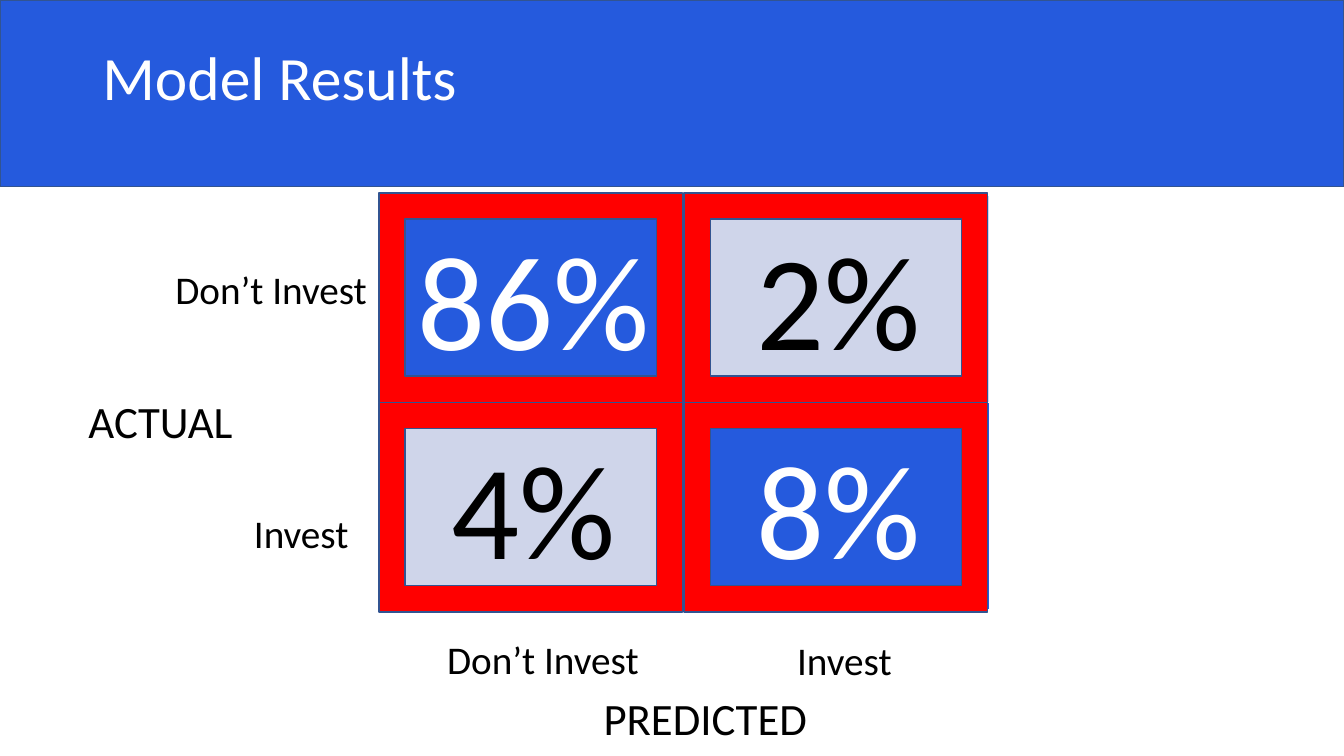
from dataclasses import dataclass

import pptx
import pptx.dml.color
import pptx.enum.shapes
import pptx.enum.text
import pptx.util

Cm = pptx.util.Cm
Pt = pptx.util.Pt
Align = pptx.enum.text.PP_ALIGN
Anchor = pptx.enum.text.MSO_ANCHOR
AutoSize = pptx.enum.text.MSO_AUTO_SIZE
Preset = pptx.enum.shapes.MSO_SHAPE

FONT = "Calibri"
BLUE, PALE, RED, OUTLINE = "255ADD", "CFD5EA", "FF0000", "325491"
WHITE, BLACK = "FFFFFF", "000000"
SLIDE_WIDTH, SLIDE_HEIGHT = 33.87, 19.05


@dataclass
class Label:
    text: str
    left: float
    top: float
    width: float
    height: float
    size: int


@dataclass
class Outcome:
    share: str
    row: int
    column: int
    fill: str
    color: str


AXIS_LABELS = [
    Label("PREDICTED", 14.96, 17.27, 5.69, 1.62, 32),
    Label("ACTUAL", 1.98, 9.8, 4.19, 1.62, 32),
    Label("Invest", 6.15, 12.7, 2.92, 1.45, 28),
    Label("Invest", 19.84, 15.9, 2.92, 1.45, 28),
    Label("Don’t Invest", 4.17, 6.55, 5.38, 1.45, 28),
    Label("Don’t Invest", 11.02, 15.88, 5.38, 1.45, 28),
]

OUTCOMES = [
    Outcome("86%", 0, 0, BLUE, WHITE),
    Outcome("4%", 1, 0, PALE, BLACK),
    Outcome("8%", 1, 1, BLUE, WHITE),
    Outcome("2%", 0, 1, PALE, BLACK),
]

# Confusion matrix geometry
MATRIX_LEFT, MATRIX_TOP = 9.55, 4.93
CELL_WIDTH, CELL_HEIGHT = 7.69, 5.21
FRAME_TOP, FRAME_WIDTH, FRAME_HEIGHT = 4.86, 7.65, 5.28


def rgb(color: str) -> pptx.dml.color.RGBColor:
    return pptx.dml.color.RGBColor.from_string(color)


def add_block(slide, preset, left: float, top: float, width: float,
              height: float, fill: str) -> None:
    block = slide.shapes.add_shape(preset, Cm(left), Cm(top), Cm(width), Cm(height))
    block.shadow.inherit = False
    block.fill.solid()
    block.fill.fore_color.rgb = rgb(fill)
    block.line.color.rgb = rgb(OUTLINE)
    block.line.width = Pt(1)


def add_text(slide, text: str, *, left: float, top: float, width: float,
             height: float, size: int, color: str = BLACK, align=Align.LEFT,
             anchor=Anchor.TOP, wrap: bool = True, spacing: float = 1.0,
             auto_size=AutoSize.SHAPE_TO_FIT_TEXT) -> None:
    frame = slide.shapes.add_textbox(
        Cm(left), Cm(top), Cm(width), Cm(height)).text_frame
    frame.word_wrap = wrap
    frame.auto_size = auto_size
    frame.vertical_anchor = anchor
    paragraph = frame.paragraphs[0]
    paragraph.alignment = align
    paragraph.line_spacing = spacing
    run = paragraph.add_run()
    run.text = text
    run.font.name = FONT
    run.font.size = Pt(size)
    run.font.color.rgb = rgb(color)


def add_matrix(slide, outcomes: list[Outcome]) -> None:
    matrix = slide.shapes.add_table(
        2, 2, Cm(MATRIX_LEFT), Cm(MATRIX_TOP),
        Cm(2 * CELL_WIDTH), Cm(2 * CELL_HEIGHT)).table
    for column in matrix.columns:
        column.width = Cm(CELL_WIDTH)
    for row in matrix.rows:
        row.height = Cm(CELL_HEIGHT)
    for outcome in outcomes:
        cell = matrix.cell(outcome.row, outcome.column)
        cell.fill.solid()
        cell.fill.fore_color.rgb = rgb(outcome.fill)


def add_outcome(slide, outcome: Outcome) -> None:
    left = MATRIX_LEFT + outcome.column * CELL_WIDTH
    top = FRAME_TOP + outcome.row * FRAME_HEIGHT
    add_block(slide, Preset.FRAME, left, top, FRAME_WIDTH, FRAME_HEIGHT, RED)
    add_text(slide, outcome.share, left=left + 0.41, top=top + 0.45, width=6.96,
             height=4.37, size=96, color=outcome.color, align=Align.CENTER)


def main() -> None:
    deck = pptx.Presentation()
    deck.slide_width, deck.slide_height = Cm(SLIDE_WIDTH), Cm(SLIDE_HEIGHT)
    slide = deck.slides.add_slide(deck.slide_layouts[6])

    # Title band
    add_block(slide, Preset.RECTANGLE, 0, 0, SLIDE_WIDTH, 4.7, BLUE)
    add_text(slide, "Model Results", left=2.33, top=0.64, width=29.21, height=2.77,
             size=44, color=WHITE, anchor=Anchor.MIDDLE, spacing=0.9,
             auto_size=AutoSize.NONE)

    # Axis names and classes
    for label in AXIS_LABELS:
        add_text(slide, label.text, left=label.left, top=label.top,
                 width=label.width, height=label.height, size=label.size, wrap=False)

    # Confusion matrix with framed shares
    add_matrix(slide, OUTCOMES)
    for outcome in OUTCOMES:
        add_outcome(slide, outcome)

    deck.save("out.pptx")


if __name__ == "__main__":
    main()
